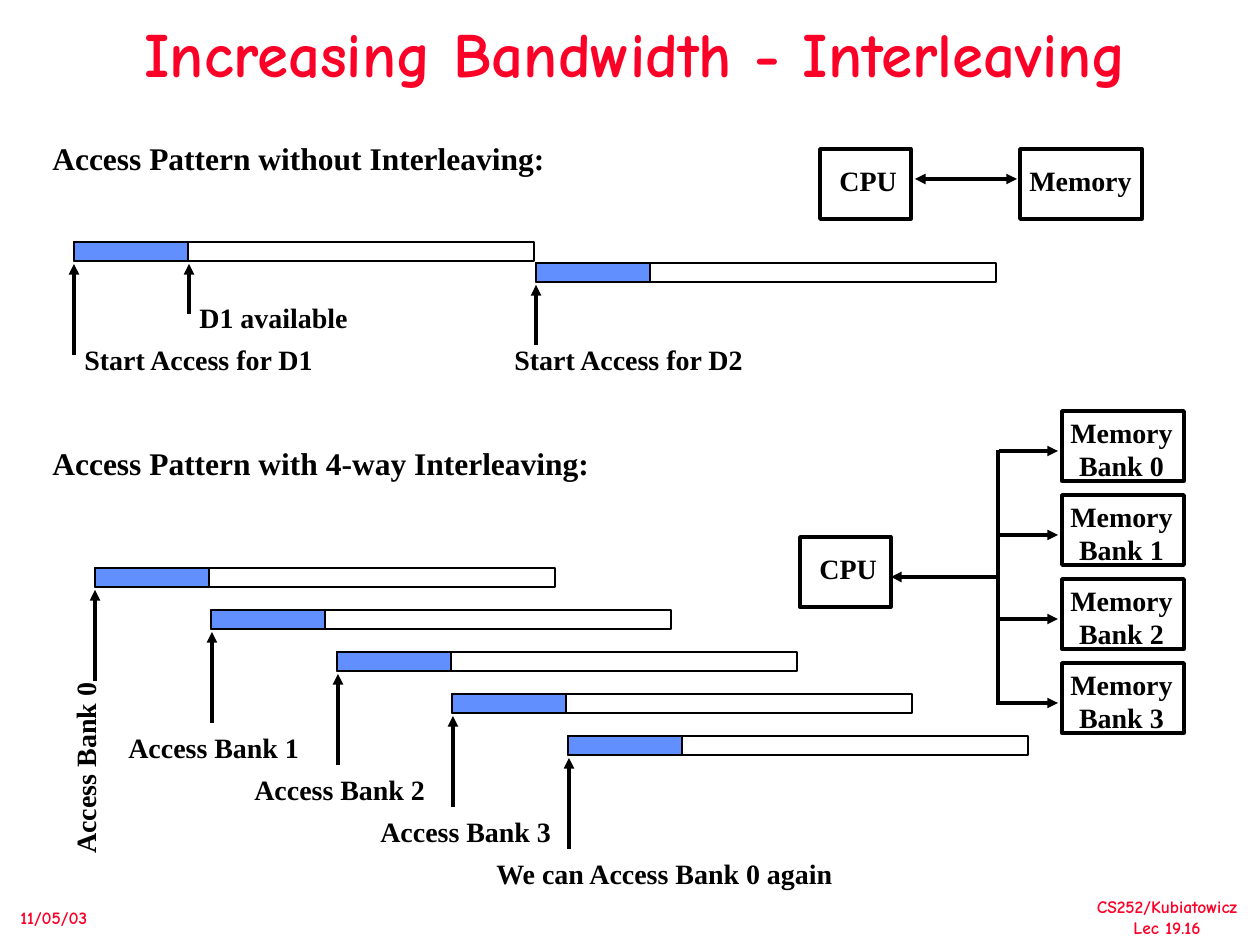
from dataclasses import dataclass

from lxml import etree
from pptx import Presentation
from pptx import util as u
from pptx.dml import color
from pptx.enum import shapes, text
from pptx.oxml import ns

PX = 914400 / 126


@dataclass(frozen=True)
class Theme:
    red: str = "FC0128"
    black: str = "000000"
    blue: str = "618FFD"
    comic: str = "Comic Neue"
    times: str = "Times New Roman"
    title: int = 36
    heading: int = 18
    label: int = 16
    footer: int = 10
    thin: int = 1
    thick: int = 2


@dataclass(frozen=True)
class Label:
    text: str
    x: int
    y: int
    w: int
    h: int = 45
    size: int = Theme.label
    font: str = Theme.times
    color: str = Theme.black
    centered: bool = False
    rotation: int = 0


@dataclass(frozen=True)
class Access:
    x: int
    y: int
    arrow_x: int
    arrow: int
    label: Label


@dataclass(frozen=True)
class Node:
    text: str
    x: int
    y: int
    w: int
    label: tuple[int, int, int, int]


T = Theme()
CPU_LABEL = (7, 8, 82, 45)
MEMORY_LABEL = (-3, 8, 127, 45)
BANK_LABEL = (-4, -2, 127, 79)
BAR_W, BUSY_W, BAR_H, NODE_H = 460, 114, 19, 70
BUS_X, BANK_X, BANK_Y, BANK_STEP = 998, 1062, 411, 84

LABELS = [
    Label("CS252/Kubiatowicz\nLec 19.16", 1084, 890, 166, 54, T.footer, T.comic, T.red, True),
    Label("11/05/03", 8, 901, 92, 34, T.footer, T.comic, T.red),
    Label("Access Pattern without Interleaving:", 40, 133, 518, 50, T.heading),
    Label("Access Pattern with 4-way Interleaving:", 40, 438, 562, 50, T.heading),
    Label("D1 available", 187, 294, 173),
]

ACCESSES = [
    Access(74, 242, 74, 91, Label("Start Access for D1", 72, 336, 256)),
    Access(536, 263, 536, 60, Label("Start Access for D2", 502, 336, 256)),
    Access(95, 568, 95, 91, Label("Access Bank 0", -13, 746, 195, rotation=270)),
    Access(211, 610, 212, 91, Label("Access Bank 1", 116, 724, 195)),
    Access(337, 652, 338, 91, Label("Access Bank 2", 242, 766, 195)),
    Access(452, 694, 453, 91, Label("Access Bank 3", 368, 808, 195)),
    Access(568, 736, 569, 91, Label("We can Access Bank 0 again", 484, 850, 364)),
]

NODES = [
    Node("CPU", 820, 149, 91, CPU_LABEL),
    Node("Memory", 1020, 149, 122, MEMORY_LABEL),
    Node("CPU", 800, 537, 91, CPU_LABEL),
] + [
    Node(f"Memory\nBank {i}", BANK_X, BANK_Y + i * BANK_STEP, 122, BANK_LABEL)
    for i in range(4)
]


def px(n: int) -> u.Emu:
    return u.Emu(round(n * PX))


def rgb(value: str) -> color.RGBColor:
    return color.RGBColor.from_string(value)


def style_text(tf, size: int, font: str, ink: str, centered: bool) -> None:
    for p in tf.paragraphs:
        p.alignment = text.PP_ALIGN.CENTER if centered else text.PP_ALIGN.LEFT
        for r in p.runs:
            r.font.size = u.Pt(size)
            r.font.name = font
            r.font.bold = True
            r.font.color.rgb = rgb(ink)


def add_label(s, label: Label) -> None:
    sp = s.shapes.add_textbox(px(label.x), px(label.y), px(label.w), px(label.h))
    sp.rotation = label.rotation
    tf = sp.text_frame
    tf.text = label.text
    tf.word_wrap = False
    tf.auto_size = text.MSO_AUTO_SIZE.NONE
    tf.margin_right = 0
    if label.centered:
        tf.margin_left = 0
    style_text(tf, label.size, label.font, label.color, label.centered)


def add_box(s, x: int, y: int, w: int, h: int, line: int, fill: str | None = None) -> None:
    sp = s.shapes.add_shape(shapes.MSO_SHAPE.RECTANGLE, px(x), px(y), px(w), px(h))
    sp.shadow.inherit = False
    if fill:
        sp.fill.solid()
        sp.fill.fore_color.rgb = rgb(fill)
    else:
        sp.fill.background()
    sp.line.color.rgb = rgb(T.black)
    sp.line.width = u.Pt(line)


def add_line(s, x1: int, y1: int, x2: int, y2: int, ends: tuple[str, ...] = ("tailEnd",)) -> None:
    c = s.shapes.add_connector(
        shapes.MSO_CONNECTOR.STRAIGHT, px(x1), px(y1), px(x2), px(y2))
    c.line.color.rgb = rgb(T.black)
    c.line.width = u.Pt(T.thick)
    ln = c.line._get_or_add_ln()
    for end in ends:
        etree.SubElement(ln, ns.qn(f"a:{end}"), type="triangle")
    etree.SubElement(c._element.spPr, ns.qn("a:effectLst"))


def add_access(s, access: Access) -> None:
    add_box(s, access.x, access.y, BUSY_W, BAR_H, T.thin, T.blue)
    add_box(s, access.x, access.y, BAR_W, BAR_H, T.thin)
    top = access.y + BAR_H + 3
    add_line(s, access.arrow_x, top + access.arrow, access.arrow_x, top)
    add_label(s, access.label)


def add_node(s, node: Node) -> None:
    add_box(s, node.x, node.y, node.w, NODE_H, T.thick)
    dx, dy, w, h = node.label
    add_label(s, Label(node.text, node.x + dx, node.y + dy, w, h,
                       centered=node.label == BANK_LABEL))


def add_title(s) -> None:
    sp = s.shapes.title
    sp.left, sp.top, sp.width, sp.height = px(42), px(32), px(1187), px(50)
    tf = sp.text_frame
    tf.text = "Increasing Bandwidth - Interleaving"
    tf.auto_size = text.MSO_AUTO_SIZE.NONE
    tf.vertical_anchor = text.MSO_ANCHOR.MIDDLE
    tf.paragraphs[0].line_spacing = 0.9
    style_text(tf, T.title, T.comic, T.red, True)


def main() -> None:
    prs = Presentation()
    prs.slide_width, prs.slide_height = px(1260), px(945)
    s = prs.slides.add_slide(prs.slide_layouts[5])
    add_title(s)
    for label in LABELS:
        add_label(s, label)
    for access in ACCESSES:
        add_access(s, access)
    for node in NODES:
        add_node(s, node)
    add_line(s, 189, 314, 189, 264)
    add_line(s, 915, 179, 1017, 179, ("headEnd", "tailEnd"))
    for i in range(4):
        y = BANK_Y + 40 + i * BANK_STEP
        add_line(s, BUS_X + 1, y, BANK_X - 4, y)
    add_line(s, BUS_X, 705, BUS_X, 450, ())
    add_line(s, BUS_X + 1, 577, 891, 577)
    prs.save("out.pptx")


if __name__ == "__main__":
    main()
